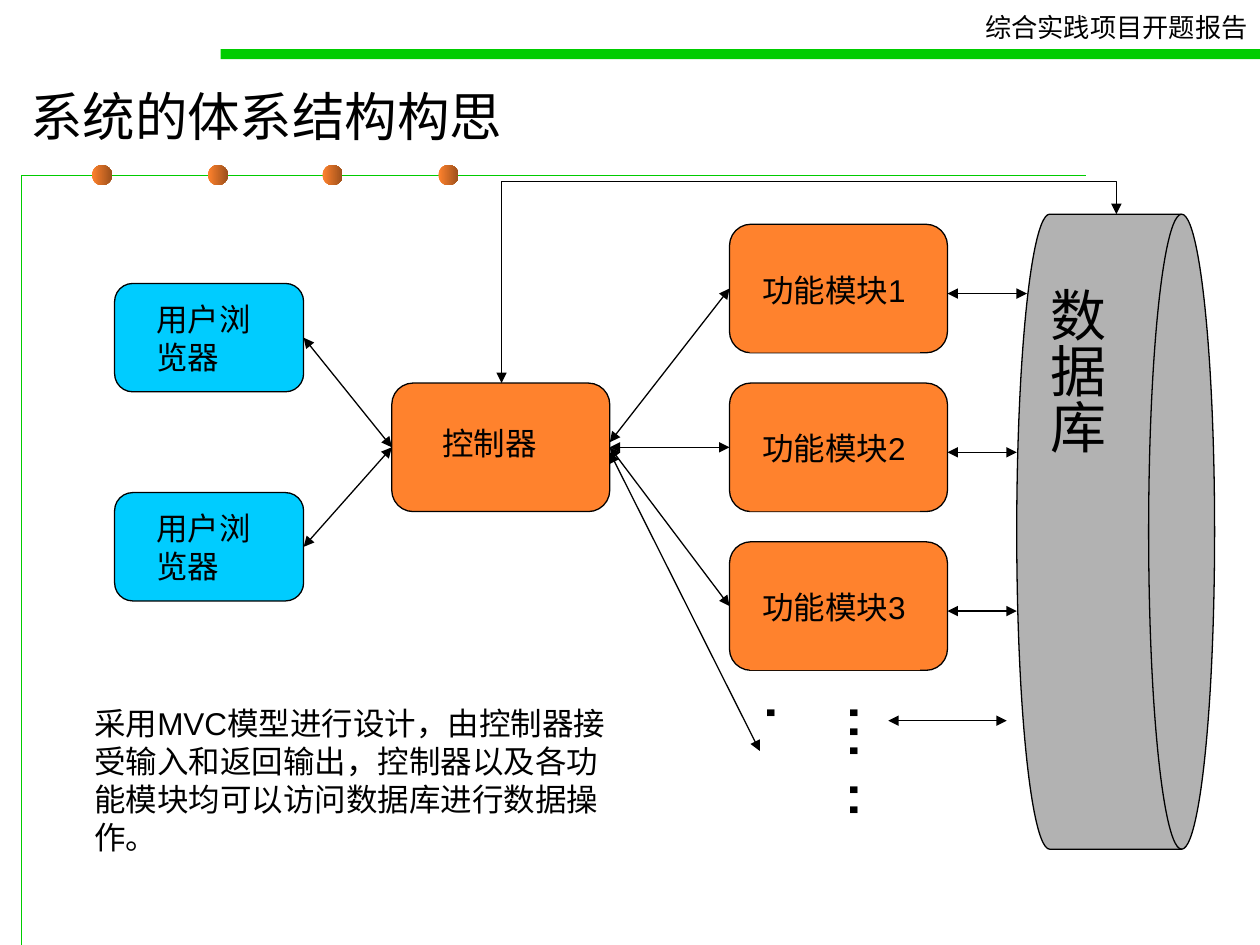
from dataclasses import dataclass
from typing import Optional

from lxml.etree import SubElement
from pptx import Presentation
from pptx.dml.color import RGBColor
from pptx.enum.shapes import MSO_CONNECTOR as CONN, MSO_SHAPE as SHAPE
from pptx.enum.text import MSO_ANCHOR as ANCHOR, MSO_AUTO_SIZE as AUTO, PP_ALIGN as ALIGN
from pptx.oxml.ns import qn
from pptx.util import Emu, Pt

PX = 9144
GREEN, CYAN, ORANGE, GRAY, BLACK = "00CC00", "00CCFF", "FF822D", "B2B2B2", "000000"
TOP, LEFT, BOTTOM, RIGHT = range(4)


@dataclass
class Box:
    name: str
    text: str
    x: int
    y: int
    w: int
    h: int
    color: str
    label: tuple[int, int, int, int]


@dataclass
class Arrow:
    x1: int
    y1: int
    x2: int
    y2: int
    begin: Optional[str] = None
    end: Optional[str] = None


BOXES = [
    Box(f"browser{i + 1}", "用户浏览器", 91, 225 + 166 * i, 150, 86, CYAN, (23, 8, 110, 70))
    for i in range(2)
] + [
    Box("controller", "控制器", 311, 304, 173, 102, ORANGE, (30, 28, 112, 40)),
] + [
    Box(f"module{i + 1}", f"功能模块{i + 1}", 579, 178 + 126 * i, 173, 102, ORANGE,
        (16, 32, 135, 70))
    for i in range(3)
]

ARROWS = [
    Arrow(241, 268, 311, 355, "browser1", "controller"),
    Arrow(241, 434, 311, 355, "browser2", "controller"),
    Arrow(484, 351, 579, 229, end="module1"),
    Arrow(484, 355, 579, 355, "controller", "module2"),
    Arrow(484, 355, 579, 481, "controller", "module3"),
    Arrow(484, 359, 603, 596),
    Arrow(752, 233, 815, 233),
    Arrow(752, 359, 807, 359),
    Arrow(752, 485, 807, 485),
    Arrow(705, 572, 799, 572),
]


def px(n: int) -> Emu:
    return Emu(n * PX)


def rgb(color: str) -> RGBColor:
    return RGBColor.from_string(color)


def paint(sp, fill: Optional[str] = None, line: Optional[str] = None):
    sp.shadow.inherit = False
    if fill:
        sp.fill.solid()
        sp.fill.fore_color.rgb = rgb(fill)
    else:
        sp.fill.background()
    if line:
        sp.line.color.rgb = rgb(line)
        sp.line.width = Pt(0.75)
    else:
        sp.line.fill.background()
    return sp


def add_shape(s, kind, x: int, y: int, w: int, h: int, fill: str, line: Optional[str] = None):
    return paint(s.shapes.add_shape(kind, px(x), px(y), px(w), px(h)), fill, line)


def add_text(s, text: str, x: int, y: int, w: int, h: int, *, size: int = 18,
             font: str = "Arial", fill: Optional[str] = None, wrap: bool = True,
             vertical: bool = False, align=ALIGN.LEFT, anchor=ANCHOR.TOP,
             fit=AUTO.SHAPE_TO_FIT_TEXT) -> None:
    sp = paint(s.shapes.add_textbox(px(x), px(y), px(w), px(h)), fill)
    tf = sp.text_frame
    tf.word_wrap = wrap
    tf.auto_size = fit
    tf.vertical_anchor = anchor
    across, along = (5, 10) if vertical else (10, 5)
    tf.margin_left = tf.margin_right = px(across)
    tf.margin_top = tf.margin_bottom = px(along)
    if vertical:
        tf._txBody.bodyPr.set("vert", "eaVert")
    p = tf.paragraphs[0]
    p.alignment = align
    r = p.add_run()
    r.text = text
    r.font.size = Pt(size)
    r.font.name = font
    r.font.color.rgb = rgb(BLACK)


def add_box(s, box: Box):
    sp = add_shape(s, SHAPE.FLOWCHART_ALTERNATE_PROCESS, box.x, box.y, box.w, box.h,
                   box.color, BLACK)
    dx, dy, w, h = box.label
    add_text(s, box.text, box.x + dx, box.y + dy, w, h, fill=box.color)
    return sp


def add_arrow(s, arrow: Arrow, kind=CONN.STRAIGHT):
    c = s.shapes.add_connector(kind, px(arrow.x1), px(arrow.y1), px(arrow.x2), px(arrow.y2))
    c.line.color.rgb = rgb(BLACK)
    c.line.width = Pt(0.75)
    ln = c.line._get_or_add_ln()
    for tag in ("a:headEnd", "a:tailEnd"):
        SubElement(ln, qn(tag), type="triangle")
    SubElement(c._element.spPr, qn("a:effectLst"))
    return c


def add_elbow(s, arrow: Arrow, adjust: int) -> None:
    c = add_arrow(s, arrow, CONN.ELBOW)
    spPr = c._element.spPr
    spPr.find(qn("a:xfrm")).set("rot", "5400000")
    guides = spPr.find(qn("a:prstGeom")).find(qn("a:avLst"))
    SubElement(guides, qn("a:gd"), name="adj1", fmla=f"val {adjust}")


def add_frame(s) -> None:
    fb = s.shapes.build_freeform(17, 750, scale=PX)
    fb.add_line_segments([(17, 139), (862, 139)], close=False)
    paint(fb.convert_to_shape(), line=GREEN)
    for i in range(4):
        dot = add_shape(s, SHAPE.OVAL, round(73 + 91.6 * i), 131, 16, 16, ORANGE)
        dot.fill.gradient()
        dot.fill.gradient_angle = 0
        for stop, color, pos in zip(dot.fill.gradient_stops, (ORANGE, "9B4F1B"), (0, 1)):
            stop.color.rgb = rgb(color)
            stop.position = pos
    add_shape(s, SHAPE.RECTANGLE, 175, 39, 825, 8, GREEN)
    add_text(s, "综合实践项目开题报告", 772, 4, 228, 35, size=15, font="Calibri", wrap=False)
    add_text(s, "系统的体系结构构思", 14, 56, 929, 71, size=30, font="Calibri",
             anchor=ANCHOR.MIDDLE, fit=AUTO.NONE)


def main() -> None:
    prs = Presentation()
    prs.slide_width, prs.slide_height = px(1000), px(750)
    s = prs.slides.add_slide(prs.slide_layouts[6])
    add_frame(s)
    boxes = {box.name: add_box(s, box) for box in BOXES}
    add_text(s, "... ...", 650, 548, 86, 127, size=40, vertical=True)
    add_shape(s, SHAPE.FLOWCHART_DIRECT_ACCESS_STORAGE, 807, 170, 157, 504, GRAY, BLACK)
    add_text(s, "数据库", 813, 218, 73, 378, size=32, vertical=True, align=ALIGN.CENTER)
    for arrow in ARROWS:
        c = add_arrow(s, arrow)
        if arrow.begin:
            c.begin_connect(boxes[arrow.begin], RIGHT)
        if arrow.end:
            c.end_connect(boxes[arrow.end], LEFT)
    add_elbow(s, Arrow(709, 481, 575, -7), 119400)
    add_text(s, "采用MVC模型进行设计，由控制器接受输入和返回输出，"
                "控制器以及各功能模块均可以访问数据库进行数据操作。", 65, 554, 435, 130)
    prs.save("out.pptx")


if __name__ == "__main__":
    main()
